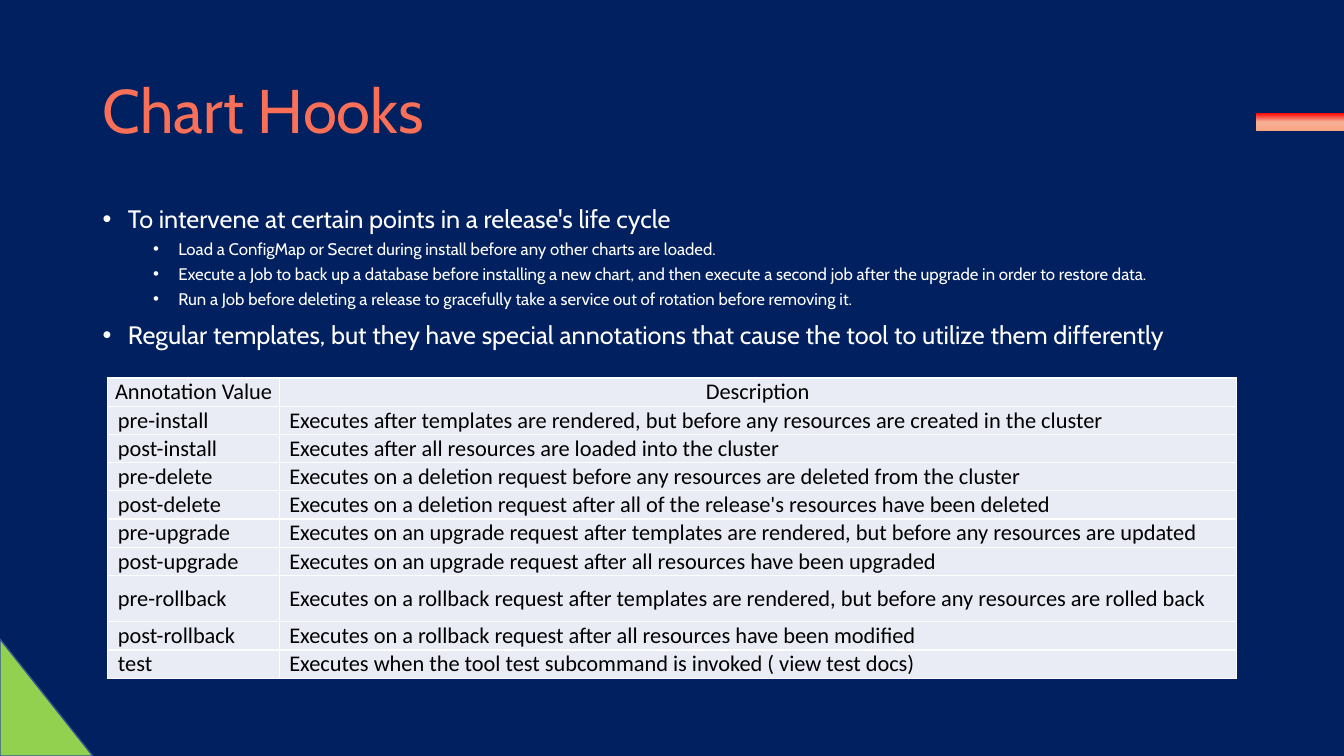
from copy import deepcopy
from dataclasses import dataclass

from lxml.etree import SubElement
from pptx import Presentation
from pptx.dml.color import RGBColor
from pptx.enum.shapes import MSO_SHAPE
from pptx.enum.text import MSO_ANCHOR, PP_ALIGN
from pptx.oxml.ns import qn
from pptx.util import Inches, Pt


@dataclass(frozen=True)
class Theme:
    """Colours, fonts and type sizes of the slide."""
    background: str = "002060"
    title: str = "F96F57"
    body: str = "FFFFFF"
    cell_text: str = "000000"
    cell_fill: str = "E9EBF5"
    border: str = "FFFFFF"
    corner: str = "92D050"
    corner_line: str = "325491"
    accent: tuple = ((0, "FF0000"), (0.5, "F5B196"), (1, "F8A582"))
    heading_font: str = "Cabin"
    table_font: str = "Calibri"
    title_size: int = 44
    point_size: int = 18
    detail_size: int = 12
    table_size: int = 16


@dataclass(frozen=True)
class Bullet:
    """One bulleted line and its outline level."""
    text: str
    level: int = 0


THEME = Theme()
BULLETS = (
    Bullet("To intervene at certain points in a release's life cycle"),
    Bullet("Load a ConfigMap or Secret during install before any other charts are loaded.", 1),
    Bullet("Execute a Job to back up a database before installing a new chart, "
           "and then execute a second job after the upgrade in order to restore data.", 1),
    Bullet("Run a Job before deleting a release to gracefully take a service "
           "out of rotation before removing it.", 1),
    Bullet("Regular templates, but they have special annotations that cause the tool "
           "to utilize them differently"),
)
HOOKS = (
    ("Annotation Value", "Description"),
    ("pre-install", "Executes after templates are rendered, but before any resources "
                    "are created in the cluster"),
    ("post-install", "Executes after all resources are loaded into the cluster"),
    ("pre-delete", "Executes on a deletion request before any resources are deleted "
                   "from the cluster"),
    ("post-delete", "Executes on a deletion request after all of the release's resources "
                    "have been deleted"),
    ("pre-upgrade", "Executes on an upgrade request after templates are rendered, "
                    "but before any resources are updated"),
    ("post-upgrade", "Executes on an upgrade request after all resources have been upgraded"),
    ("pre-rollback", "Executes on a rollback request after templates are rendered, "
                     "but before any resources are rolled back"),
    ("post-rollback", "Executes on a rollback request after all resources have been modified"),
    ("test", "Executes when the tool test subcommand is invoked (\u00a0view test docs)"),
)
COLUMN_WIDTHS = (1.7, 9.49)
ROW_HEIGHT, TALL_ROW_HEIGHT = 0.28, 0.46
TALL_ROW = "pre-rollback"


def rgb(color: str) -> RGBColor:
    """Turn a hex string into a colour."""
    return RGBColor.from_string(color)


def add_span(para, text: str, *, size: int, font: str, color: str) -> None:
    """Add formatted text to a paragraph."""
    span = para.add_run()
    span.text = text
    span.font.size = Pt(size)
    span.font.name = font
    span.font.color.rgb = rgb(color)


def add_box(page, left: float, top: float, width: float, height: float, *, anchor):
    """Add a wrapping text box and return its text frame."""
    box = page.shapes.add_textbox(Inches(left), Inches(top), Inches(width), Inches(height))
    frame = box.text_frame
    frame.word_wrap = True
    frame.vertical_anchor = anchor
    return frame


def add_preset(page, kind, left: float, top: float, width: float, height: float):
    """Add a preset shape without a shadow."""
    shape = page.shapes.add_shape(kind, Inches(left), Inches(top), Inches(width), Inches(height))
    shape.shadow.inherit = False
    return shape


def add_corner(page) -> None:
    """Draw the green triangle in the bottom left corner."""
    corner = add_preset(page, MSO_SHAPE.RIGHT_TRIANGLE, 0, 6.34, 0.92, 1.16)
    corner.fill.solid()
    corner.fill.fore_color.rgb = rgb(THEME.corner)
    corner.line.color.rgb = rgb(THEME.corner_line)
    corner.line.width = Pt(1)


def add_accent(page) -> None:
    """Draw the gradient bar at the right edge."""
    accent = add_preset(page, MSO_SHAPE.RECTANGLE, 12.46, 1.12, 0.87, 0.18)
    accent.line.fill.background()
    accent.fill.gradient()
    accent.fill.gradient_angle = 270
    stop_list = accent.element.spPr.find(f".//{qn('a:gsLst')}")
    stop_list.append(deepcopy(stop_list[-1]))
    for stop, (position, color) in zip(accent.fill.gradient_stops, THEME.accent):
        stop.position = position
        stop.color.rgb = rgb(color)


def add_title(page) -> None:
    """Write the slide title."""
    para = add_box(page, 0.92, 0.4, 11.5, 1.45, anchor=MSO_ANCHOR.MIDDLE).paragraphs[0]
    para.line_spacing = 0.9
    add_span(para, "Chart Hooks", size=THEME.title_size, font=THEME.heading_font,
             color=THEME.title)


def add_bullets(page) -> None:
    """Write the two-level bulleted list."""
    frame = add_box(page, 0.92, 2, 11.5, 1.65, anchor=MSO_ANCHOR.TOP)
    for index, bullet in enumerate(BULLETS):
        para = frame.add_paragraph() if index else frame.paragraphs[0]
        para.level = bullet.level
        para.line_spacing = 0.9
        para.space_before = Pt(5 if bullet.level else 10)
        properties = para._p.get_or_add_pPr()
        properties.set("marL", str(Inches(0.25 + 0.5 * bullet.level)))
        properties.set("indent", str(Inches(-0.25)))
        SubElement(properties, qn("a:buFont"), typeface="Arial")
        SubElement(properties, qn("a:buChar"), char="\u2022")
        add_span(para, bullet.text, font=THEME.heading_font, color=THEME.body,
                 size=THEME.detail_size if bullet.level else THEME.point_size)


def format_cell(cell, text: str, *, header: bool) -> None:
    """Fill one table cell with text, borders and background."""
    cell.margin_left = Inches(0 if header else 0.1)
    cell.margin_right = cell.margin_top = cell.margin_bottom = 0
    cell.vertical_anchor = MSO_ANCHOR.MIDDLE
    para = cell.text_frame.paragraphs[0]
    para.alignment = PP_ALIGN.CENTER if header else PP_ALIGN.LEFT
    add_span(para, text, size=THEME.table_size, font=THEME.table_font, color=THEME.cell_text)
    properties = cell._tc.get_or_add_tcPr()
    for side in ("lnL", "lnR", "lnT", "lnB"):
        border = SubElement(properties, qn(f"a:{side}"), w=str(Pt(1)))
        SubElement(SubElement(border, qn("a:solidFill")), qn("a:srgbClr"), val=THEME.border)
    cell.fill.solid()
    cell.fill.fore_color.rgb = rgb(THEME.cell_fill)


def add_hook_table(page) -> None:
    """Draw the table of hook annotations."""
    heights = [TALL_ROW_HEIGHT if name == TALL_ROW else ROW_HEIGHT for name, _ in HOOKS]
    table = page.shapes.add_table(
        len(HOOKS), len(COLUMN_WIDTHS), Inches(1.07), Inches(3.75),
        Inches(sum(COLUMN_WIDTHS)), Inches(sum(heights))).table
    table.first_row = table.horz_banding = False
    for column, width in zip(table.columns, COLUMN_WIDTHS):
        column.width = Inches(width)
    for index, (row, height, texts) in enumerate(zip(table.rows, heights, HOOKS)):
        row.height = Inches(height)
        for cell, text in zip(row.cells, texts):
            format_cell(cell, text, header=index == 0)


def main() -> None:
    """Build and save the slide."""
    deck = Presentation()
    deck.slide_width, deck.slide_height = Inches(13.33), Inches(7.5)
    page = deck.slides.add_slide(deck.slide_layouts[6])
    page.background.fill.solid()
    page.background.fill.fore_color.rgb = rgb(THEME.background)
    for draw in (add_corner, add_accent, add_title, add_bullets, add_hook_table):
        draw(page)
    deck.save("out.pptx")


main()
